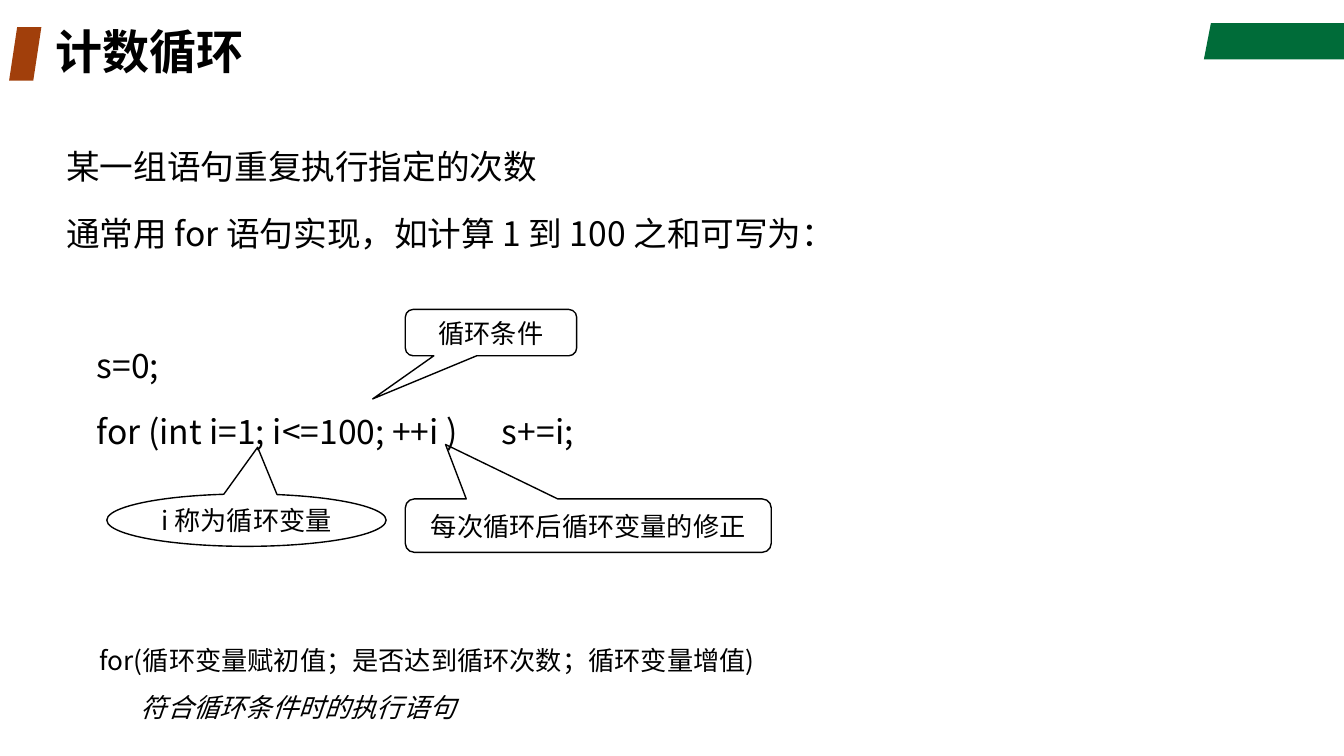
"""Build the slide that explains the counting loop."""
from dataclasses import dataclass

from lxml import etree
from pptx import Presentation
from pptx.dml.color import RGBColor
from pptx.enum.shapes import MSO_SHAPE
from pptx.enum.text import MSO_ANCHOR, PP_ALIGN
from pptx.oxml.ns import qn
from pptx.util import Inches, Pt

PARALLELOGRAM = MSO_SHAPE.PARALLELOGRAM
ELLIPSE_CALLOUT = MSO_SHAPE.OVAL_CALLOUT
ROUND_CALLOUT = MSO_SHAPE.ROUNDED_RECTANGULAR_CALLOUT
TOP, MIDDLE = MSO_ANCHOR.TOP, MSO_ANCHOR.MIDDLE
LEFT, CENTER = PP_ALIGN.LEFT, PP_ALIGN.CENTER

FONT = "Noto Sans CJK SC"
BLACK, GREEN, BROWN = "000000", "006C39", "A13F0B"
TITLE_SIZE, BODY_SIZE, NOTE_SIZE = 33.6, 24, 18.7


@dataclass(frozen=True)
class Box:
    left: float
    top: float
    width: float
    height: float

    def lengths(self):
        return [Inches(value) for value in (self.left, self.top, self.width, self.height)]


@dataclass(frozen=True)
class Line:
    text: str
    indent: float = 0
    italic: bool = False
    tab: float = 0


@dataclass(frozen=True)
class Callout:
    kind: int
    box: Box
    text: str
    adjustments: tuple[float, ...]


@dataclass(frozen=True)
class TextBlock:
    box: Box
    lines: tuple[Line, ...]
    size: float
    spacing: float
    before: float = 0
    bold: bool = False
    anchor: int = TOP


TEXT_BLOCKS = (
    TextBlock(Box(0.45, 0.27, 9.45, 0.53), (Line("计数循环"),),
              TITLE_SIZE, 0.9, bold=True, anchor=MIDDLE),
    TextBlock(Box(0.56, 1.28, 10.89, 1.4),
              (Line("某一组语句重复执行指定的次数"),
               Line("通常用 for 语句实现，如计算 1 到 100 之和可写为：")),
              BODY_SIZE, 1.3, before=10),
    TextBlock(Box(0.86, 3.25, 10.59, 1.4),
              (Line("s=0;"), Line("for (int i=1; i<=100; ++i )\ts+=i;", tab=4.02)),
              BODY_SIZE, 1.3, before=10),
    TextBlock(Box(0.89, 6.19, 8.22, 0.99),
              (Line("for(循环变量赋初值；是否达到循环次数；循环变量增值)"),
               Line("符合循环条件时的执行语句", indent=0.41, italic=True)),
              NOTE_SIZE, 1.5),
)

CALLOUTS = (
    Callout(ELLIPSE_CALLOUT, Box(1.06, 4.9, 2.77, 0.52), "i 称为循环变量", (0.04, -1.39)),
    Callout(ROUND_CALLOUT, Box(4.02, 3.07, 1.7, 0.46), "循环条件", (-0.69, 1.43, 0.17)),
    Callout(ROUND_CALLOUT, Box(4.02, 4.95, 3.63, 0.53), "每次循环后循环变量的修正",
            (-0.39, -1.52, 0.17)),
)


def color(value: str) -> RGBColor:
    return RGBColor.from_string(value)


def write_text(frame, lines: tuple[Line, ...], *, size: float, spacing: float = 1,
               before: float = 0, bold: bool = False, align: int = LEFT,
               anchor: int = TOP) -> None:
    frame.word_wrap = True
    frame.vertical_anchor = anchor
    for index, line in enumerate(lines):
        paragraph = frame.add_paragraph() if index else frame.paragraphs[0]
        paragraph.alignment = align
        paragraph.line_spacing = spacing
        paragraph.space_before = Pt(before)
        properties = paragraph._p.get_or_add_pPr()
        if line.indent:
            properties.set("marL", str(Inches(line.indent)))
        if line.tab:
            tabs = etree.SubElement(properties, qn("a:tabLst"))
            etree.SubElement(tabs, qn("a:tab"), pos=str(Inches(line.tab)), algn="l")
        run = paragraph.add_run()
        run.text = line.text
        font = run.font
        font.name, font.size = FONT, Pt(size)
        font.bold, font.italic = bold, line.italic
        font.color.rgb = color(BLACK)
        etree.SubElement(run._r.get_or_add_rPr(), qn("a:ea"), typeface=FONT)


def fill_plain(shape, fill: str) -> None:
    shape.shadow.inherit = False
    shape.fill.solid()
    shape.fill.fore_color.rgb = color(fill)
    shape.line.fill.background()


def add_decoration(slide) -> None:
    builder = slide.shapes.build_freeform(Inches(12.01), Inches(0.23))
    corners = ((13.33, 0.23), (13.33, 0.59), (11.94, 0.59))
    builder.add_line_segments([(Inches(x), Inches(y)) for x, y in corners])
    fill_plain(builder.convert_to_shape(), GREEN)
    marker = slide.shapes.add_shape(PARALLELOGRAM, *Box(0.09, 0.27, 0.32, 0.53).lengths())
    marker.adjustments[0] = 0.25
    fill_plain(marker, BROWN)


def add_text_block(slide, block: TextBlock) -> None:
    frame = slide.shapes.add_textbox(*block.box.lengths()).text_frame
    write_text(frame, block.lines, size=block.size, spacing=block.spacing,
               before=block.before, bold=block.bold, anchor=block.anchor)


def add_callout(slide, callout: Callout) -> None:
    shape = slide.shapes.add_shape(callout.kind, *callout.box.lengths())
    for index, value in enumerate(callout.adjustments):
        shape.adjustments[index] = value
    shape.shadow.inherit = False
    shape.fill.background()
    shape.line.color.rgb = color(BLACK)
    shape.line.width = Pt(1)
    frame = shape.text_frame
    frame.margin_left = frame.margin_right = frame.margin_top = frame.margin_bottom = 0
    write_text(frame, (Line(callout.text),), size=NOTE_SIZE, align=CENTER, anchor=MIDDLE)


def main() -> None:
    presentation = Presentation()
    presentation.slide_width, presentation.slide_height = Inches(13.33), Inches(7.5)
    slide = presentation.slides.add_slide(presentation.slide_layouts[6])
    add_decoration(slide)
    for block in TEXT_BLOCKS:
        add_text_block(slide, block)
    for callout in CALLOUTS:
        add_callout(slide, callout)
    presentation.save("out.pptx")


if __name__ == "__main__":
    main()
